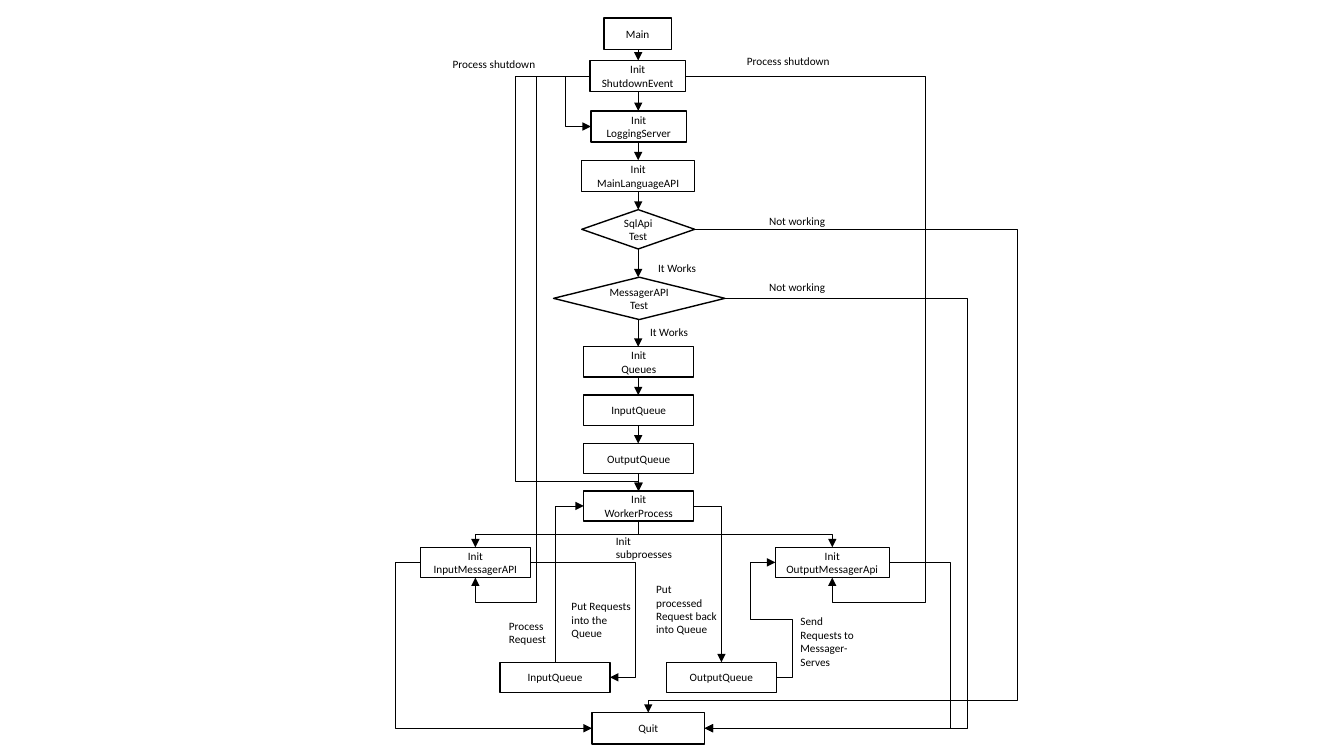
from pptx import Presentation
from pptx.dml.color import RGBColor
from pptx.enum.shapes import MSO_CONNECTOR as Link, MSO_SHAPE as Preset
from pptx.enum.text import MSO_ANCHOR as Anchor, PP_ALIGN as Align
from pptx.oxml.ns import qn
from pptx.util import Inches, Pt
from lxml import etree

BLACK = RGBColor(0, 0, 0)
WHITE = RGBColor(255, 255, 255)
FONT = {"name": "Calibri", "size": Pt(8)}
SPINE_X = 6.33

# Nodes: text, left, top, width, height (inches); \v is a line break
SPINE = {
    "main": ("Main", 5.99, 0.18, 0.67, 0.31),
    "shutdown": ("Init ShutdownEvent", 5.85, 0.6, 0.95, 0.31),
    "logging": ("Init LoggingServer", 5.86, 1.1, 0.95, 0.31),
    "language": ("Init MainLanguageAPI", 5.77, 1.59, 1.12, 0.31),
    "sql test": ("SqlApi\vTest", 5.77, 2.08, 1.12, 0.39),
    "chat test": ("MessagerAPI\vTest", 5.49, 2.75, 1.7, 0.42),
    "queues": ("Init\vQueues", 5.79, 3.44, 1.09, 0.3),
    "input": ("InputQueue", 5.79, 3.92, 1.09, 0.3),
    "output": ("OutputQueue", 5.79, 4.4, 1.09, 0.3),
    "worker": ("Init\vWorkerProcess", 5.79, 4.87, 1.09, 0.3),
}
BRANCHES = {
    "input api": ("Init\vInputMessagerAPI", 4.17, 5.43, 1.09, 0.3),
    "output api": ("Init\vOutputMessagerApi", 7.69, 5.43, 1.13, 0.3),
    "input queue": ("InputQueue", 4.96, 6.57, 1.09, 0.3),
    "output queue": ("OutputQueue", 6.61, 6.57, 1.09, 0.3),
    "quit": ("Quit", 5.87, 7.07, 1.12, 0.31),
}
NODES = {**SPINE, **BRANCHES}

# Bent arrows: start, side, end, side, and the lanes (x and y in turn) they run along
ROUTES = [
    ("sql test", "right", "quit", "top", [10.09, 6.95]),
    ("chat test", "right", "quit", "right", [9.6]),
    ("worker", "bottom", "output api", "top", [5.3]),
    ("worker", "bottom", "input api", "top", [5.3]),
    ("input api", "right", "input queue", "right", [6.3]),
    ("input queue", "top", "worker", "left", []),
    ("worker", "right", "output queue", "top", []),
    ("output queue", "right", "output api", "left", [7.86, 6.15, 7.44]),
    ("shutdown", "left", "logging", "left", [5.6]),
    ("shutdown", "left", "worker", "top", [5.11, 4.77]),
    ("shutdown", "left", "input api", "bottom", [5.32, 5.98]),
    ("shutdown", "right", "output api", "bottom", [9.18, 5.98]),
    ("input api", "left", "quit", "left", [3.92]),
    ("output api", "right", "quit", "right", [9.43]),
]

# Labels: text, left, top, width, height
LABELS = [
    ("Process shutdown", 4.39, 0.52, 1.09, 0.24),
    ("Process shutdown", 7.31, 0.49, 1.09, 0.24),
    ("Not working", 7.53, 2.08, 0.83, 0.24),
    ("Not working", 7.53, 2.73, 0.83, 0.24),
    ("It Works", 6.43, 2.54, 0.66, 0.24),
    ("It Works", 6.35, 3.18, 0.66, 0.24),
    ("Init subproesses", 6.01, 5.25, 0.83, 0.37),
    ("Put Requests into the Queue", 5.57, 5.9, 0.83, 0.5),
    ("Process Request", 4.95, 6.09, 0.83, 0.37),
    ("Put processed Request back into Queue", 6.41, 5.73, 0.83, 0.64),
    ("Send Requests to Messager-Serves", 7.84, 6.05, 0.83, 0.64),
]

presentation = Presentation()
presentation.slide_width, presentation.slide_height = Inches(13.33), Inches(7.5)
slide = presentation.slides.add_slide(presentation.slide_layouts[6])


def write(shape, text, align, anchor):
    frame = shape.text_frame
    frame.word_wrap, frame.vertical_anchor = True, anchor
    paragraph = frame.paragraphs[0]
    paragraph.text, paragraph.alignment = text, align
    for run in paragraph.runs:
        for key, value in FONT.items():
            setattr(run.font, key, value)
        run.font.color.rgb = BLACK


def add_node(name):
    text, *place = NODES[name]
    preset = Preset.FLOWCHART_DECISION if name.endswith("test") else Preset.RECTANGLE
    shape = slide.shapes.add_shape(preset, *map(Inches, place))
    shape.shadow.inherit = False
    shape.fill.solid()
    shape.fill.fore_color.rgb = WHITE
    shape.line.color.rgb, shape.line.width = BLACK, Pt(1)
    write(shape, text, Align.CENTER, Anchor.MIDDLE)


def side_point(name, side):
    _, left, top, width, height = NODES[name]
    across, down = {"left": (0, 0.5), "right": (1, 0.5),
                    "top": (0.5, 0), "bottom": (0.5, 1)}[side]
    return left + across * width, top + down * height


def add_arrow(kind, *ends):
    arrow = slide.shapes.add_connector(kind, *map(Inches, ends))
    arrow.line.color.rgb, arrow.line.width = BLACK, Pt(0.5)
    etree.SubElement(arrow.line._get_or_add_ln(), qn("a:tailEnd"), type="triangle")
    etree.SubElement(arrow._element.spPr, qn("a:effectLst"))
    return arrow


def add_route(start, start_side, end, end_side, lanes):
    begin, finish = side_point(start, start_side), side_point(end, end_side)
    upright = start_side in ("top", "bottom")
    first = 1 if upright else 0  # axis of the first segment
    dx, dy = finish[0] - begin[0], finish[1] - begin[1]
    # An upright start is a connector laid flat and turned by 90 degrees
    run, rise = (dy, -dx) if upright else (dx, dy)
    x, y = (begin[0] + finish[0]) / 2, (begin[1] + finish[1]) / 2
    arrow = add_arrow(Link.ELBOW, x - run / 2, y - rise / 2, x + run / 2, y + rise / 2)
    properties = arrow._element.spPr
    if upright:
        properties.find(qn("a:xfrm")).set("rot", "5400000")
    geometry = properties.find(qn("a:prstGeom"))
    geometry.set("prst", f"bentConnector{len(lanes) + 2}")
    guides = geometry.find(qn("a:avLst"))
    for index, lane in enumerate(lanes):
        axis = (first + index) % 2
        share = (lane - begin[axis]) / (finish[axis] - begin[axis])
        etree.SubElement(guides, qn("a:gd"), name=f"adj{index + 1}",
                         fmla=f"val {round(share * 100000)}")


# Boxes and decisions
for name in NODES:
    add_node(name)

# Straight arrows down the spine
names = list(SPINE)
for upper, lower in zip(names, names[1:]):
    add_arrow(Link.STRAIGHT, SPINE_X, side_point(upper, "bottom")[1],
              SPINE_X, side_point(lower, "top")[1])

# Bent arrows
for route in ROUTES:
    add_route(*route)

# Labels
for text, *place in LABELS:
    write(slide.shapes.add_textbox(*map(Inches, place)), text, Align.LEFT, Anchor.TOP)

presentation.save("out.pptx")
